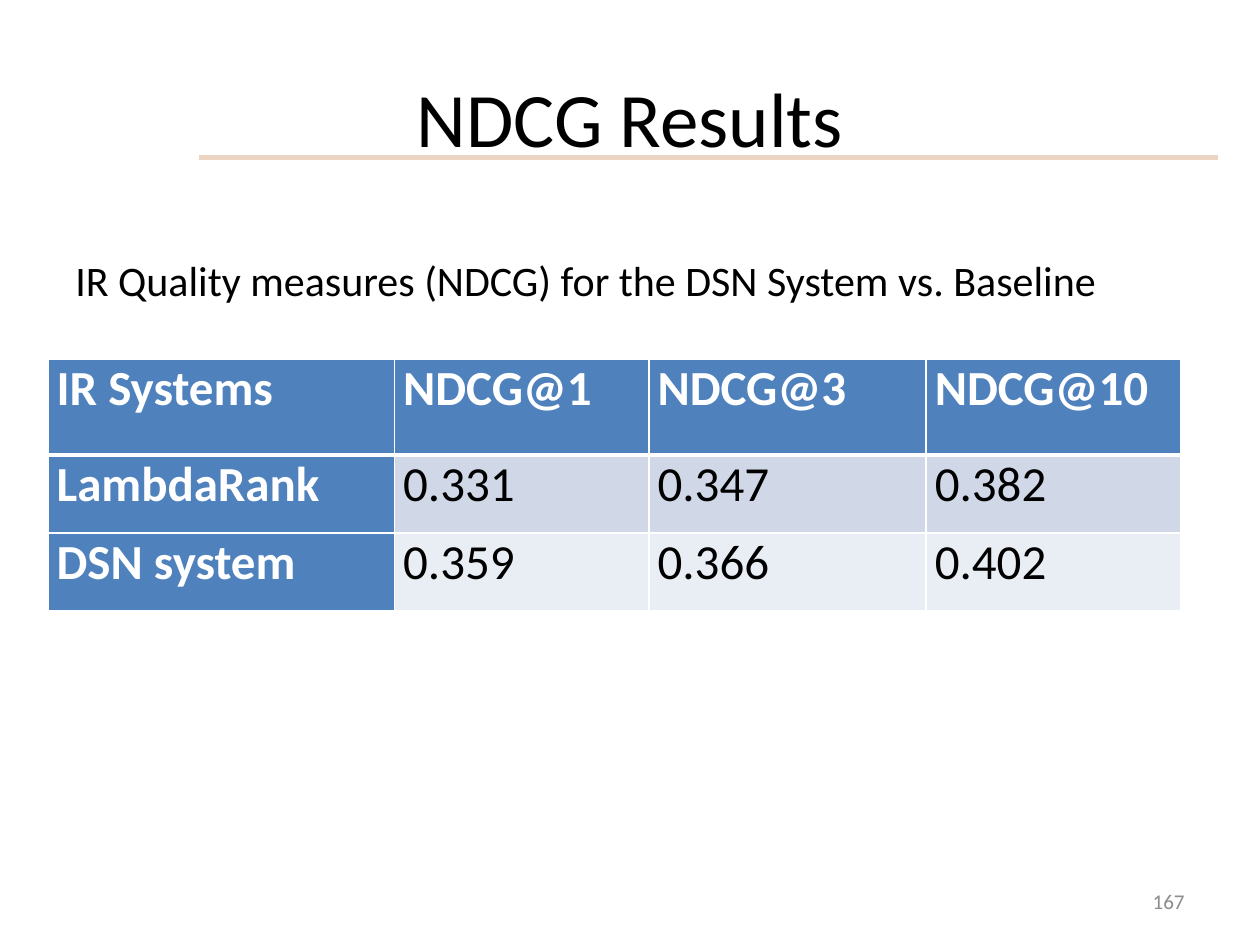
import lxml.etree
import pptx
import pptx.dml.color
import pptx.enum.shapes
import pptx.enum.text
import pptx.oxml
import pptx.oxml.ns
import pptx.util

Inches = pptx.util.Inches
Pt = pptx.util.Pt
RGBColor = pptx.dml.color.RGBColor
ALIGN = pptx.enum.text.PP_ALIGN
ANCHOR = pptx.enum.text.MSO_ANCHOR

BLACK = RGBColor(0x00, 0x00, 0x00)
WHITE = RGBColor(0xFF, 0xFF, 0xFF)
GRAY = RGBColor(0x8C, 0x8C, 0x8C)
RULE_TAN = RGBColor(0xEC, 0xD5, 0xC2)
HEADER_BLUE = RGBColor(0x4F, 0x81, 0xBD)
BAND_COLORS = (RGBColor(0xE9, 0xED, 0xF4), RGBColor(0xD0, 0xD8, 0xE8))

RESULTS = (
    ("IR Systems", "NDCG@1", "NDCG@3", "NDCG@10"),
    ("LambdaRank", "0.331", "0.347", "0.382"),
    ("DSN system", "0.359", "0.366", "0.402"),
)
COLUMN_WIDTHS = (2.75, 2.02, 2.2, 2.02)
ROW_HEIGHTS = (0.76, 0.62, 0.62)


def set_attributes(target, values):
    """Set each named attribute of the target."""
    for name, value in values.items():
        setattr(target, name, value)


def write_text(text_frame, text, size, color, bold=False, alignment=ALIGN.LEFT):
    """Write one formatted paragraph into a text frame."""
    paragraph = text_frame.paragraphs[0]
    paragraph.text = text
    paragraph.alignment = alignment
    font = paragraph.runs[0].font
    set_attributes(font, {"name": "Calibri", "size": Pt(size), "bold": bold})
    font.color.rgb = color


def add_rule(slide, left, top, width):
    """Draw the horizontal rule behind the title."""
    rule = slide.shapes.add_connector(
        pptx.enum.shapes.MSO_CONNECTOR.STRAIGHT, left, top, left + width, top
    )
    rule.line.color.rgb = RULE_TAN
    rule.line.width = Pt(3)
    properties = rule._element.spPr
    lxml.etree.SubElement(properties, pptx.oxml.ns.qn("a:effectLst"))
    slide.shapes._spTree.insert(2, rule._element)


def place_title(slide, left, top, width, height):
    """Place and fill the title placeholder."""
    title = slide.shapes.title
    set_attributes(title, {"left": left, "top": top, "width": width, "height": height})
    title.text_frame.vertical_anchor = ANCHOR.MIDDLE
    write_text(title.text_frame, "NDCG Results", 44, BLACK, alignment=ALIGN.CENTER)


def add_caption(slide, left, top, width, height):
    """Add the table's caption on one line."""
    text_frame = slide.shapes.add_textbox(left, top, width, height).text_frame
    text_frame.word_wrap = False
    text_frame.auto_size = pptx.enum.text.MSO_AUTO_SIZE.SHAPE_TO_FIT_TEXT
    caption = "IR Quality measures (NDCG) for the DSN System vs. Baseline"
    write_text(text_frame, caption, 24, BLACK)


def add_page_number(slide, left, top, width, height):
    """Add the page number at the right of its box."""
    text_frame = slide.shapes.add_textbox(left, top, width, height).text_frame
    set_attributes(text_frame, {"word_wrap": True, "vertical_anchor": ANCHOR.MIDDLE})
    write_text(text_frame, "167", 12, GRAY, alignment=ALIGN.RIGHT)


def set_borders(cell, top_points, bottom_points):
    """Give a cell white borders, thin at the sides."""
    namespace = pptx.oxml.ns.nsdecls("a")
    properties = cell._tc.get_or_add_tcPr()
    for side, points in (("L", 1), ("R", 1), ("T", top_points), ("B", bottom_points)):
        properties.append(pptx.oxml.parse_xml(
            f'<a:ln{side} {namespace} w="{Pt(points)}"><a:solidFill>'
            f'<a:srgbClr val="{WHITE}"/></a:solidFill></a:ln{side}>'
        ))


def add_results_table(slide, left, top, width, height):
    """Add the table of NDCG values for each system."""
    table = slide.shapes.add_table(
        len(RESULTS), len(COLUMN_WIDTHS), left, top, width, height
    ).table
    table.first_col = True
    for column, column_width in zip(table.columns, COLUMN_WIDTHS):
        column.width = Inches(column_width)
    for row, row_height in zip(table.rows, ROW_HEIGHTS):
        row.height = Inches(row_height)
    margins = {
        "margin_left": Inches(0.07), "margin_right": Inches(0.07),
        "margin_top": 0, "margin_bottom": 0,
    }
    for row_index, values in enumerate(RESULTS):
        for column_index, value in enumerate(values):
            cell = table.cell(row_index, column_index)
            heading = row_index == 0 or column_index == 0
            set_attributes(cell, margins)
            set_borders(cell, 3 if row_index == 1 else 1, 3 if row_index == 0 else 1)
            cell.fill.solid()
            cell.fill.fore_color.rgb = HEADER_BLUE if heading else BAND_COLORS[row_index % 2]
            write_text(cell.text_frame, value, 28, WHITE if heading else BLACK, heading)


def main():
    """Build and save the presentation."""
    presentation = pptx.Presentation()
    set_attributes(presentation, {"slide_width": Inches(10), "slide_height": Inches(7.5)})
    slide = presentation.slides.add_slide(presentation.slide_layouts[5])
    add_rule(slide, Inches(1.58), Inches(1.25), Inches(8.09))
    place_title(slide, Inches(0.5), Inches(0.3), Inches(9), Inches(1.25))
    add_page_number(slide, Inches(7.17), Inches(6.95), Inches(2.33), Inches(0.4))
    add_results_table(
        slide, Inches(0.38), Inches(2.85),
        Inches(sum(COLUMN_WIDTHS)), Inches(sum(ROW_HEIGHTS)),
    )
    add_caption(slide, Inches(0.5), Inches(1.97), Inches(8.45), Inches(0.5))
    presentation.save("out.pptx")


if __name__ == "__main__":
    main()
